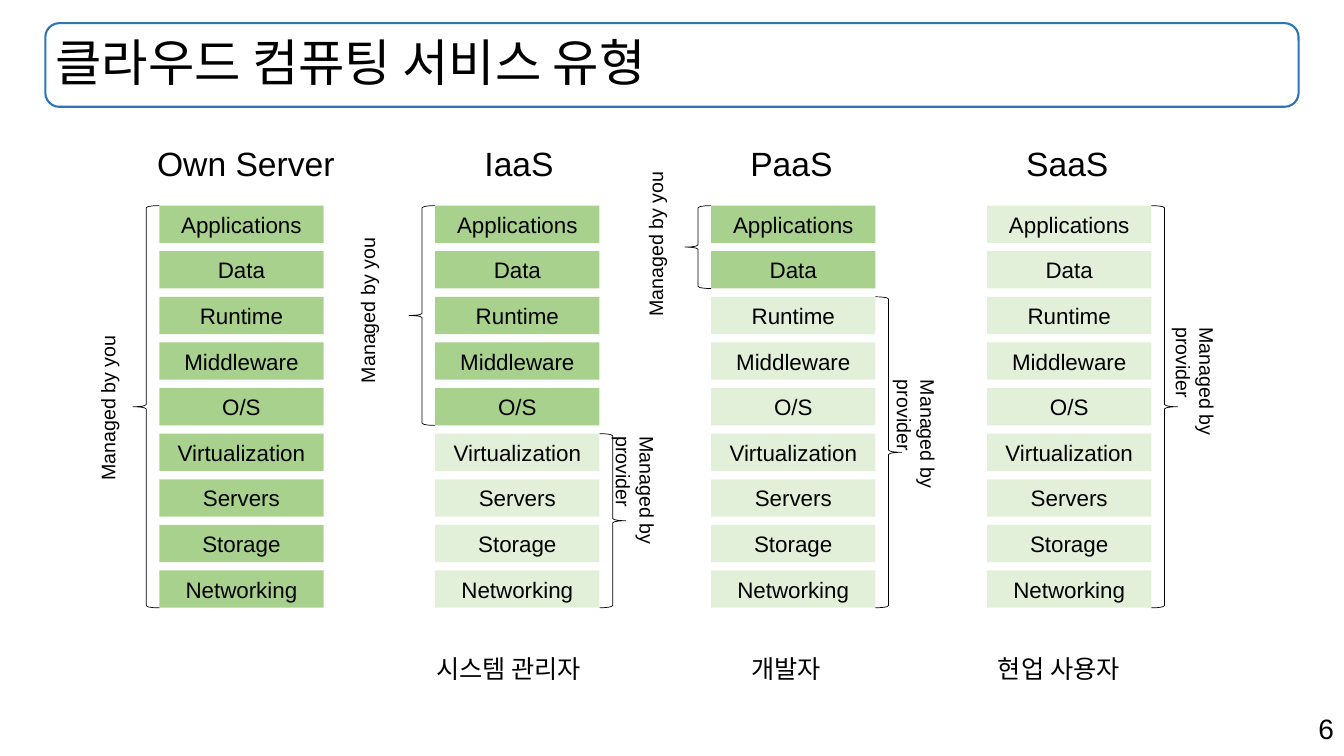
import dataclasses

import pptx
import pptx.dml.color
import pptx.enum.shapes
import pptx.enum.text
import pptx.util

Inches = pptx.util.Inches
RGBColor = pptx.dml.color.RGBColor
Shape = pptx.enum.shapes.MSO_SHAPE
Align = pptx.enum.text.PP_ALIGN
Anchor = pptx.enum.text.MSO_ANCHOR

BLACK = RGBColor(0x00, 0x00, 0x00)
TITLE_BLUE = RGBColor(0x2E, 0x75, 0xB6)
YOUR_GREEN = RGBColor(0xA9, 0xD1, 0x8E)
PROVIDER_GREEN = RGBColor(0xE2, 0xF0, 0xD9)

LAYERS = ["Applications", "Data", "Runtime", "Middleware", "O/S",
          "Virtualization", "Servers", "Storage", "Networking"]
LAYER_WIDTH, LAYER_HEIGHT = 1.63, 0.37
STACK_TOP, LAYER_STEP = 2.04, 3.62 / 8
FIRST_LEFT, COLUMN_STEP = 1.58, 8.21 / 3
BRACE_WIDTH = 0.26


@dataclasses.dataclass
class Service:
    """A service type; boxes hold left offset from the column, top, width and height."""
    name: str
    name_box: tuple
    your_layers: int
    your_box: tuple = None
    provider_box: tuple = None
    user: str = None
    user_box: tuple = None


SERVICES = [
    Service("Own Server", (-0.12, 1.37, 1.99, 0.5), 9,
            your_box=(-0.68, 3.19, 0.44, 1.68)),
    Service("IaaS", (0.39, 1.37, 0.94, 0.5), 5,
            your_box=(-0.84, 2.22, 0.75, 1.68),
            provider_box=(1.52, 4.23, 0.75, 1.94),
            user="시스템 관리자", user_box=(-0.09, 6.43, 1.8, 0.4)),
    Service("PaaS", (0.29, 1.37, 1.04, 0.5), 2,
            your_box=(-0.72, 1.56, 0.75, 1.68),
            provider_box=(1.88, 3.67, 0.44, 1.94),
            user="개발자", user_box=(0.3, 6.43, 1.03, 0.4)),
    Service("SaaS", (0.29, 1.37, 1.34, 0.5), 0,
            provider_box=(1.91, 3.15, 0.44, 1.94),
            user="현업 사용자", user_box=(0.01, 6.43, 1.63, 0.4)),
]


def write_text(shape, text, size, align=Align.LEFT, anchor=Anchor.TOP, spacing=None):
    """Write one formatted paragraph into a shape."""
    frame = shape.text_frame
    frame.word_wrap = True
    frame.vertical_anchor = anchor
    para = frame.paragraphs[0]
    para.alignment = align
    para.line_spacing = spacing
    span = para.add_run()
    span.text = text
    span.font.size = pptx.util.Pt(size)
    span.font.name = "Arial"
    span.font.color.rgb = BLACK


def add_text(page, box, text, size, **text_format):
    """Add a text box at a box given in inches."""
    shape = page.shapes.add_textbox(*map(Inches, box))
    write_text(shape, text, size, **text_format)
    return shape


def add_block(page, kind, box, fill=None, line=None, weight=0.5):
    """Add a preset shape with an optional fill and outline."""
    shape = page.shapes.add_shape(kind, *map(Inches, box))
    shape.shadow.inherit = False
    if fill is None:
        shape.fill.background()
    else:
        shape.fill.solid()
        shape.fill.fore_color.rgb = fill
    if line is None:
        shape.line.fill.background()
    else:
        shape.line.color.rgb = line
        shape.line.width = pptx.util.Pt(weight)
    return shape


def add_vertical_label(page, box, text, rotation=0):
    """Add a label whose text runs vertically."""
    label = add_text(page, box, text, 14)
    label.rotation = rotation
    label.text_frame.auto_size = pptx.enum.text.MSO_AUTO_SIZE.SHAPE_TO_FIT_TEXT
    label.text_frame._txBody.bodyPr.set("vert", "eaVert")


def add_brace(page, kind, left, first, last):
    """Add a brace spanning layers first to last."""
    height = (last - first) * LAYER_STEP + LAYER_HEIGHT
    box = (left, STACK_TOP + first * LAYER_STEP, BRACE_WIDTH, height)
    add_block(page, kind, box, line=BLACK)


def add_title(page, box, text):
    """Add the outlined title bar."""
    add_block(page, Shape.ROUNDED_RECTANGLE, box, line=TITLE_BLUE, weight=1.5)
    add_text(page, box, text, 36, anchor=Anchor.MIDDLE, spacing=0.9)


def add_service(page, left, service):
    """Add one service column with its layers, braces and labels."""
    def place(box):
        return (left + box[0], *box[1:])

    add_text(page, place(service.name_box), service.name, 24)
    for row, layer in enumerate(LAYERS):
        fill = YOUR_GREEN if row < service.your_layers else PROVIDER_GREEN
        box = (left, STACK_TOP + row * LAYER_STEP, LAYER_WIDTH, LAYER_HEIGHT)
        block = add_block(page, Shape.RECTANGLE, box, fill=fill)
        write_text(block, layer, 16, align=Align.CENTER, anchor=Anchor.MIDDLE)
    if service.your_box:
        add_brace(page, Shape.LEFT_BRACE, left - BRACE_WIDTH, 0, service.your_layers - 1)
        add_vertical_label(page, place(service.your_box), "Managed by you", rotation=180)
    if service.provider_box:
        add_brace(page, Shape.RIGHT_BRACE, left + LAYER_WIDTH,
                  service.your_layers, len(LAYERS) - 1)
        add_vertical_label(page, place(service.provider_box), "Managed by provider")
    if service.user:
        add_text(page, place(service.user_box), service.user, 18)


def main():
    """Build the slide and save the deck."""
    deck = pptx.Presentation()
    deck.slide_width, deck.slide_height = Inches(13.33), Inches(7.5)
    page = deck.slides.add_slide(deck.slide_layouts[6])
    add_title(page, (0.45, 0.23, 12.43, 0.83), "클라우드 컴퓨팅 서비스 유형")
    for index, service in enumerate(SERVICES):
        add_service(page, FIRST_LEFT + index * COLUMN_STEP, service)
    add_text(page, (9.43, 7.01, 3.9, 0.44), "6", 20, align=Align.RIGHT)
    deck.save("out.pptx")


if __name__ == "__main__":
    main()
